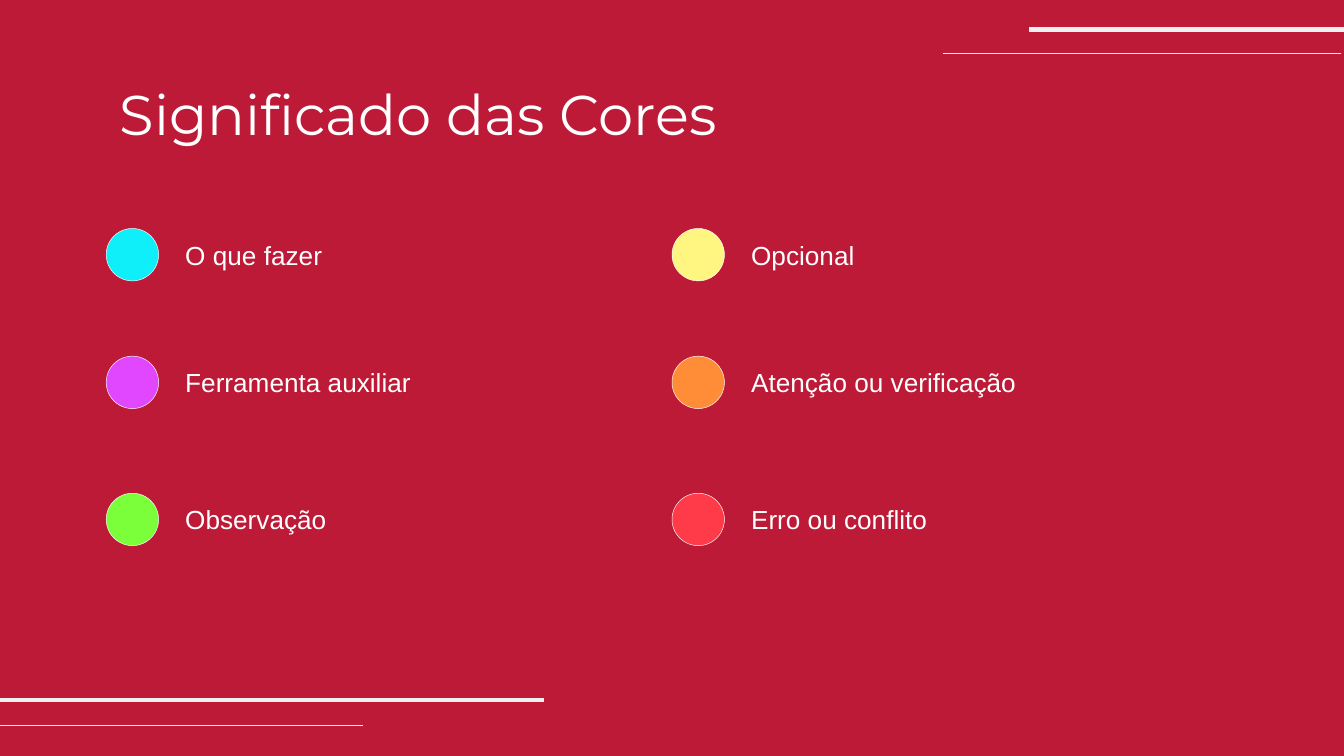
import pptx
import pptx.util
import pptx.dml.color
import pptx.enum.shapes
import pptx.enum.text
import pptx.oxml.ns
import lxml.etree

Inches = pptx.util.Inches
Pt = pptx.util.Pt
RGBColor = pptx.dml.color.RGBColor

BACKGROUND = RGBColor(0xBD, 0x1A, 0x37)
WHITE = RGBColor(0xFF, 0xFF, 0xFF)
RULE_GREY = RGBColor(0xF0, 0xF0, 0xF0)
CYAN = RGBColor(0x0E, 0xEF, 0xFA)
PURPLE = RGBColor(0xE0, 0x47, 0xFF)
GREEN = RGBColor(0x7C, 0xFF, 0x3B)
YELLOW = RGBColor(0xFF, 0xF6, 0x81)
ORANGE = RGBColor(0xFF, 0x8D, 0x37)
RED = RGBColor(0xFF, 0x3B, 0x49)

SLIDE_WIDTH = 10
SLIDE_HEIGHT = SLIDE_WIDTH * 9 / 16
COLUMN_LEFTS = (0.79, 5)
ROW_TOPS = (1.7, 2.65, 3.67)
DOT_SIZE = 0.39
LABEL_OFFSET = 0.49
LABEL_DROP = 0.03
LABEL_HEIGHT = 0.34

# Each row holds (colour, meaning, label width) for the left and right columns.
LEGEND = (
    ((CYAN, "O que fazer", 2.59), (YELLOW, "Opcional", 2.59)),
    ((PURPLE, "Ferramenta auxiliar", 2.59), (ORANGE, "Atenção ou verificação", 5.92)),
    ((GREEN, "Observação", 1.7), (RED, "Erro ou conflito", 4.22)),
)

# Start x, end x, y and weight of each decorative rule.
RULES = (
    (10, 7.66, 0.22, 2.25),
    (9.98, 7.02, 0.4, 0.75),
    (4.05, 0, 5.21, 2.25),
    (2.7, 0, 5.4, 0.75),
)


def format_text(text_frame, font_name, size):
    for paragraph in text_frame.paragraphs:
        for run in paragraph.runs:
            run.font.name = font_name
            run.font.size = Pt(size)
            run.font.color.rgb = WHITE


def add_rule(slide, start, end, y, weight):
    rule = slide.shapes.add_connector(
        pptx.enum.shapes.MSO_CONNECTOR.STRAIGHT,
        Inches(start), Inches(y), Inches(end), Inches(y))
    rule.line.color.rgb = RULE_GREY
    rule.line.width = Pt(weight)
    properties = rule._element.spPr
    lxml.etree.SubElement(properties, pptx.oxml.ns.qn("a:effectLst"))


def set_title(slide, text):
    title = slide.shapes.title
    title.left, title.top = Inches(0.79), Inches(0.49)
    title.width, title.height = Inches(8.43), Inches(0.61)
    text_frame = title.text_frame
    text_frame.text = text
    text_frame.margin_left = text_frame.margin_right = Inches(0.1)
    text_frame.margin_top = text_frame.margin_bottom = Inches(0.1)
    text_frame.vertical_anchor = pptx.enum.text.MSO_ANCHOR.TOP
    text_frame.auto_size = pptx.enum.text.MSO_AUTO_SIZE.NONE
    text_frame.paragraphs[0].alignment = pptx.enum.text.PP_ALIGN.LEFT
    format_text(text_frame, "Montserrat", 30)


def add_dot(slide, left, top, colour):
    dot = slide.shapes.add_shape(
        pptx.enum.shapes.MSO_SHAPE.OVAL,
        Inches(left), Inches(top), Inches(DOT_SIZE), Inches(DOT_SIZE))
    dot.shadow.inherit = False
    dot.fill.solid()
    dot.fill.fore_color.rgb = colour
    dot.line.color.rgb = WHITE
    dot.line.width = Pt(0.25)


def add_label(slide, left, top, width, text):
    label = slide.shapes.add_textbox(
        Inches(left), Inches(top), Inches(width), Inches(LABEL_HEIGHT))
    text_frame = label.text_frame
    text_frame.word_wrap = True
    text_frame.auto_size = pptx.enum.text.MSO_AUTO_SIZE.SHAPE_TO_FIT_TEXT
    text_frame.text = text
    format_text(text_frame, "Arial", 14)


def add_legend(slide):
    for top, row in zip(ROW_TOPS, LEGEND):
        for left, (colour, meaning, width) in zip(COLUMN_LEFTS, row):
            add_dot(slide, left, top, colour)
            add_label(slide, left + LABEL_OFFSET, top + LABEL_DROP, width, meaning)


def main():
    presentation = pptx.Presentation()
    presentation.slide_width = Inches(SLIDE_WIDTH)
    presentation.slide_height = Inches(SLIDE_HEIGHT)
    slide = presentation.slides.add_slide(presentation.slide_layouts[5])
    slide.background.fill.solid()
    slide.background.fill.fore_color.rgb = BACKGROUND
    for start, end, y, weight in RULES:
        add_rule(slide, start, end, y, weight)
    set_title(slide, "Significado das Cores")
    add_legend(slide)
    presentation.save("out.pptx")


if __name__ == "__main__":
    main()
